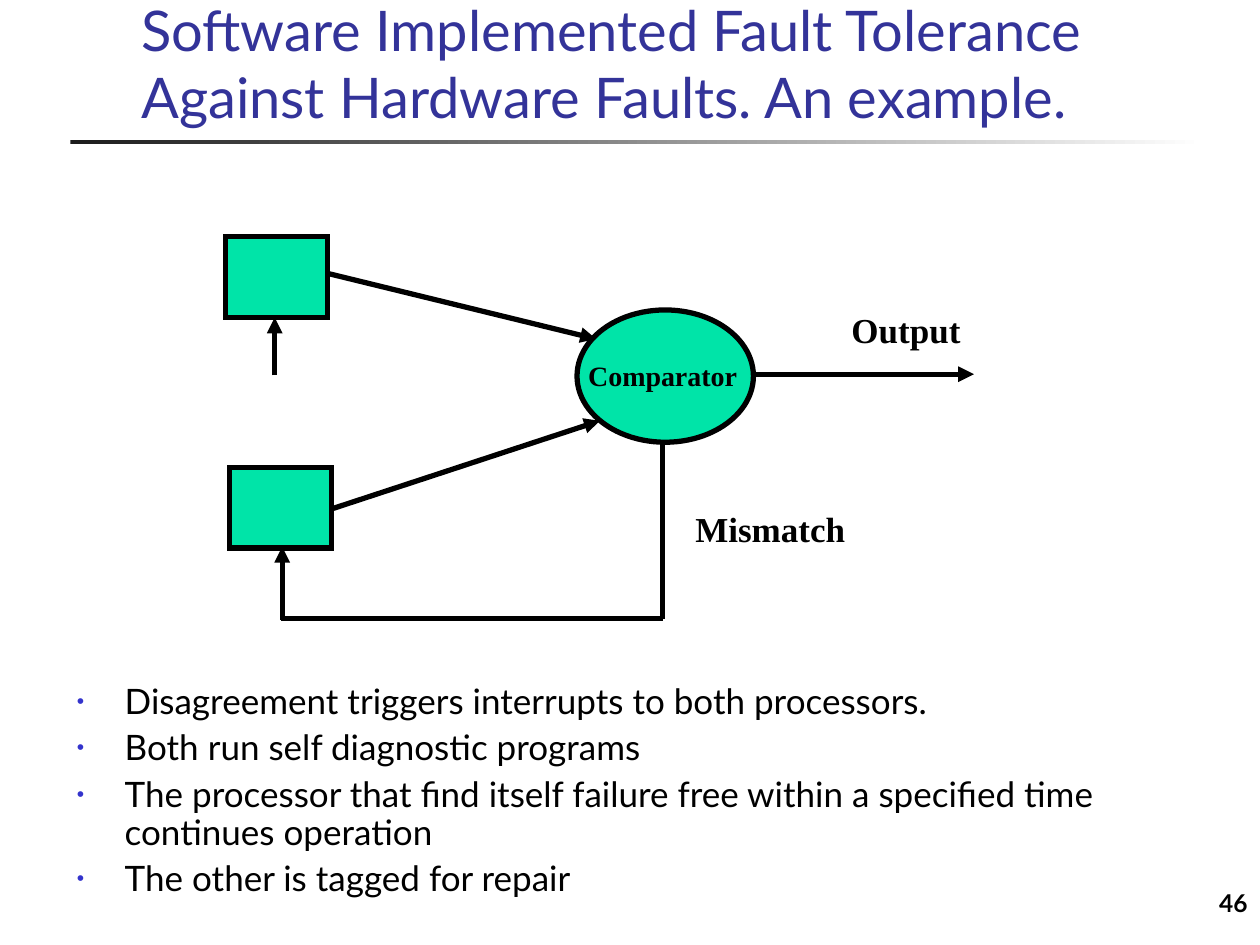
"""Build the slide on software fault tolerance with a comparator diagram."""
from dataclasses import dataclass

from lxml import etree
from pptx import Presentation
from pptx.dml.color import RGBColor
from pptx.enum.shapes import MSO_CONNECTOR, MSO_SHAPE
from pptx.enum.text import MSO_ANCHOR, MSO_AUTO_SIZE, PP_ALIGN
from pptx.oxml.ns import qn
from pptx.util import Inches, Pt

RECT, OVAL = MSO_SHAPE.RECTANGLE, MSO_SHAPE.OVAL
STRAIGHT = MSO_CONNECTOR.STRAIGHT
TOP, BOTTOM = MSO_ANCHOR.TOP, MSO_ANCHOR.BOTTOM
LEFT, RIGHT = PP_ALIGN.LEFT, PP_ALIGN.RIGHT
FIXED, GROW = MSO_AUTO_SIZE.NONE, MSO_AUTO_SIZE.SHAPE_TO_FIT_TEXT


@dataclass(frozen=True)
class Theme:
    sans: str = "Lato"
    serif: str = "Times New Roman"
    title: str = "333399"
    ink: str = "000000"
    mint: str = "00E4A8"
    dot: str = "3333CC"
    dark: str = "1C1C1C"
    light: str = "FFFFFF"
    head_size: int = 32
    text_size: int = 20
    node_size: int = 16
    page_size: int = 14
    stroke: int = 3


@dataclass(frozen=True)
class Box:
    left: float
    top: float
    width: float
    height: float

    def lengths(self) -> tuple:
        return tuple(map(Inches, (self.left, self.top, self.width, self.height)))


@dataclass(frozen=True)
class Node:
    kind: MSO_SHAPE
    box: Box


@dataclass(frozen=True)
class Link:
    start: tuple[float, float]
    end: tuple[float, float]
    arrow: bool = True


@dataclass(frozen=True)
class Label:
    text: str
    box: Box
    size: int
    font: str
    wrap: bool = True
    fit: MSO_AUTO_SIZE = GROW
    align: PP_ALIGN = LEFT
    anchor: MSO_ANCHOR = TOP


THEME = Theme()
TITLE = "Software Implemented Fault Tolerance Against Hardware Faults. An example."
POINTS = (
    "Disagreement triggers interrupts to both processors.",
    "Both run self diagnostic programs",
    "The processor that find itself failure free within a specified time "
    "continues operation",
    "The other is tagged for repair",
)
NODES = (
    Node(OVAL, Box(4.58, 2.46, 1.4, 1.05)),
    Node(RECT, Box(1.82, 3.71, 0.81, 0.64)),
    Node(RECT, Box(1.79, 1.88, 0.81, 0.64)),
)
LINKS = (
    Link((5.97, 2.97), (7.73, 2.97)),
    Link((5.26, 3.51), (5.26, 4.91), arrow=False),
    Link((5.26, 4.91), (2.23, 4.91), arrow=False),
    Link((2.24, 4.92), (2.24, 4.34)),
    Link((2.63, 4.04), (4.76, 3.34)),
    Link((2.6, 2.17), (4.73, 2.69)),
    Link((2.18, 2.98), (2.18, 2.52)),
)
LABELS = (
    Label("Output", Box(6.66, 2.4, 1.1, 0.44), THEME.text_size, THEME.serif, False),
    Label("Comparator", Box(4.57, 2.8, 1.46, 0.37), THEME.node_size, THEME.serif),
    Label("Mismatch", Box(5.42, 3.98, 1.4, 0.44), THEME.text_size, THEME.serif, False),
    Label("46", Box(7.92, 7, 2.08, 0.33), THEME.page_size, THEME.sans,
          fit=FIXED, align=RIGHT, anchor=BOTTOM),
)


def color(code: str) -> RGBColor:
    return RGBColor.from_string(code)


def place(shape, box: Box) -> None:
    shape.left, shape.top, shape.width, shape.height = box.lengths()


def add_run(para, text: str, font: str, size: int, tint: str, bold: bool = False) -> None:
    run = para.add_run()
    run.text = text
    run.font.name, run.font.size, run.font.bold = font, Pt(size), bold
    run.font.color.rgb = color(tint)


def add_rule(slide) -> None:
    rule = slide.shapes.add_shape(RECT, *Box(0.56, 1.11, 9, 0.03).lengths())
    rule.shadow.inherit = False
    rule.line.fill.background()
    rule.fill.gradient()
    rule.fill.gradient_angle = 0
    for stop, tint in zip(rule.fill.gradient_stops, (THEME.dark, THEME.light)):
        stop.color.rgb = color(tint)


def fill_title(shape) -> None:
    place(shape, Box(1.02, 0.25, 8.52, 0.83))
    frame = shape.text_frame
    frame.auto_size, frame.vertical_anchor = FIXED, BOTTOM
    para = frame.paragraphs[0]
    para.alignment = LEFT
    add_run(para, TITLE, THEME.sans, THEME.head_size, THEME.title)


def add_bullet(para) -> None:
    props = para._p.get_or_add_pPr()
    props.set("marL", str(Inches(0.38)))
    props.set("indent", str(-Inches(0.38)))
    tint = etree.SubElement(props, qn("a:buClr"))
    etree.SubElement(tint, qn("a:srgbClr"), val=THEME.dot)
    etree.SubElement(props, qn("a:buSzPct"), val="60000")
    etree.SubElement(props, qn("a:buChar"), char="•")


def fill_body(shape) -> None:
    place(shape, Box(0.51, 5.38, 8.51, 1.89))
    frame = shape.text_frame
    frame.auto_size = FIXED
    for index, text in enumerate(POINTS):
        para = frame.add_paragraph() if index else frame.paragraphs[0]
        add_bullet(para)
        para.line_spacing = 0.9
        para.space_before = Pt(5 if index else 0)
        add_run(para, text, THEME.sans, THEME.text_size, THEME.ink)


def add_node(slide, node: Node) -> None:
    shape = slide.shapes.add_shape(node.kind, *node.box.lengths())
    shape.shadow.inherit = False
    shape.fill.solid()
    shape.fill.fore_color.rgb = color(THEME.mint)
    shape.line.color.rgb = color(THEME.ink)
    shape.line.width = Pt(THEME.stroke)
    etree.SubElement(shape.element.spPr.find(qn("a:ln")), qn("a:miter"), lim="800000")


def add_link(slide, link: Link) -> None:
    line = slide.shapes.add_connector(STRAIGHT, *map(Inches, link.start + link.end))
    line.line.color.rgb = color(THEME.ink)
    line.line.width = Pt(THEME.stroke)
    props = line.element.spPr
    if link.arrow:
        etree.SubElement(props.find(qn("a:ln")), qn("a:tailEnd"), type="triangle")
    etree.SubElement(props, qn("a:effectLst"))


def add_label(slide, label: Label) -> None:
    frame = slide.shapes.add_textbox(*label.box.lengths()).text_frame
    frame.word_wrap, frame.auto_size = label.wrap, label.fit
    frame.vertical_anchor = label.anchor
    para = frame.paragraphs[0]
    para.alignment = label.align
    add_run(para, label.text, label.font, label.size, THEME.ink, bold=True)


def main() -> None:
    deck = Presentation()
    deck.slide_width, deck.slide_height = Inches(10), Inches(7.5)
    slide = deck.slides.add_slide(deck.slide_layouts[1])
    add_rule(slide)
    fill_title(slide.shapes.title)
    fill_body(slide.placeholders[1])
    for draw, items in ((add_node, NODES), (add_link, LINKS), (add_label, LABELS)):
        for item in items:
            draw(slide, item)
    deck.save("out.pptx")


if __name__ == "__main__":
    main()
